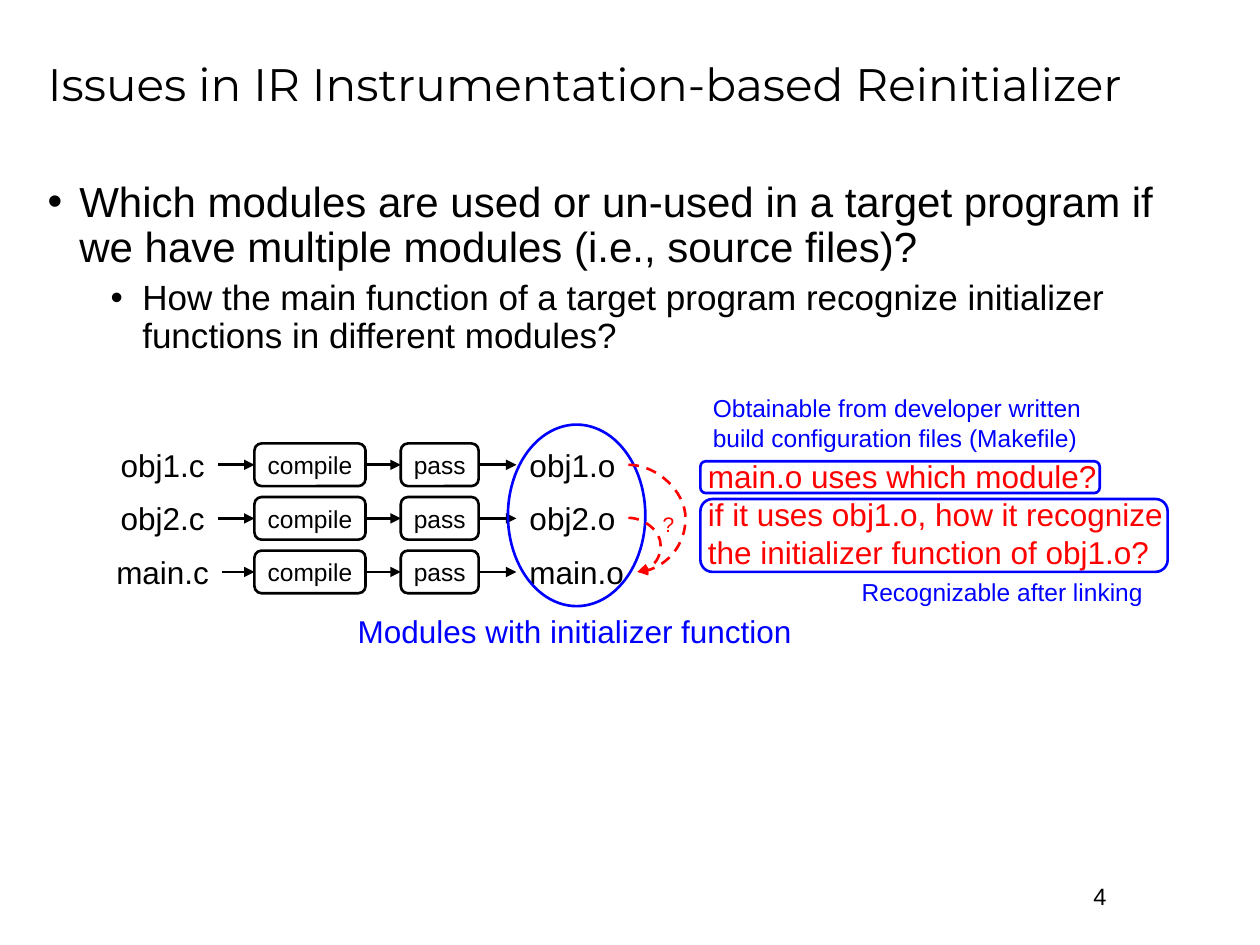
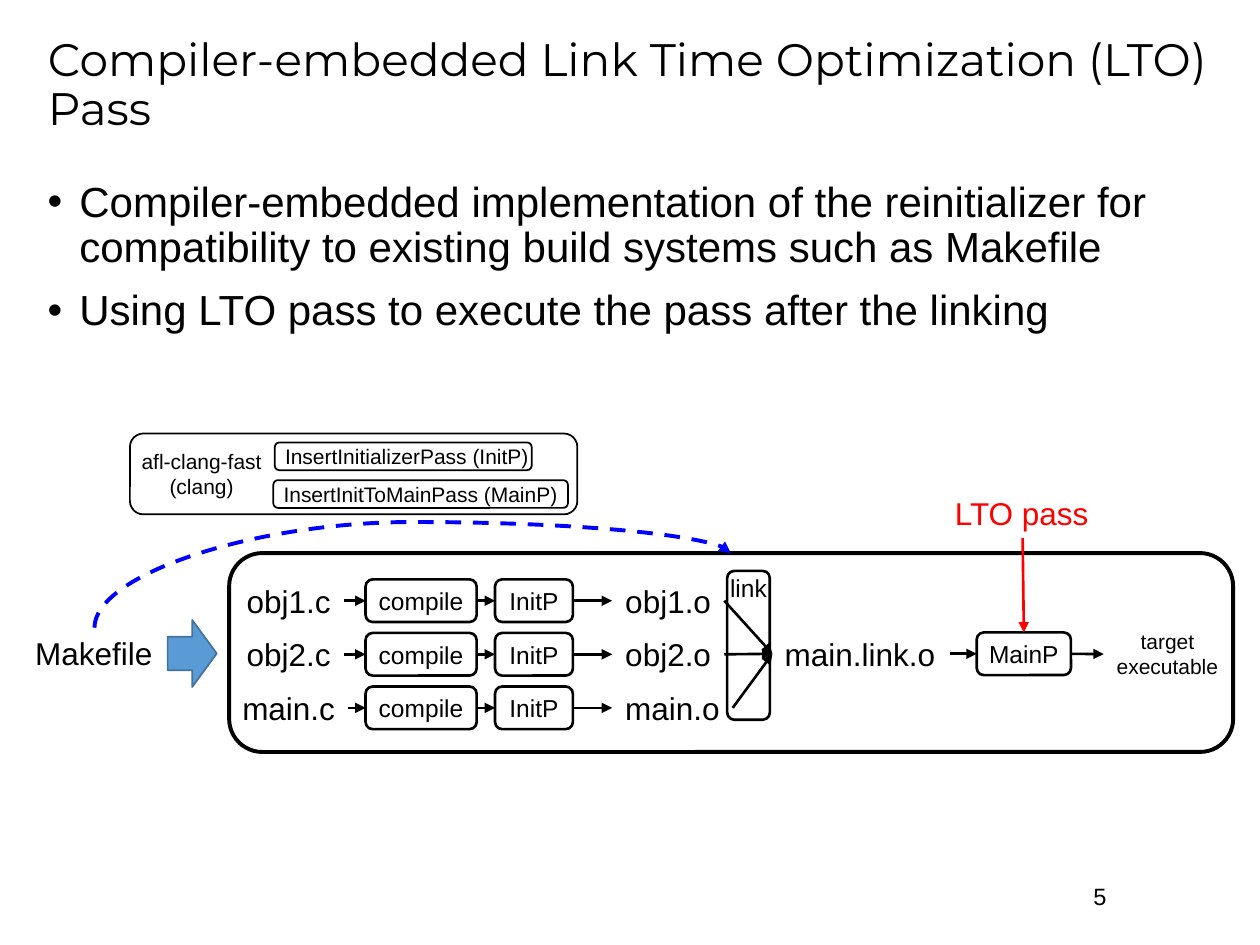
from pptx import Presentation
from pptx.dml.color import RGBColor
from pptx.enum.dml import MSO_LINE
from pptx.enum.shapes import MSO_CONNECTOR, MSO_SHAPE
from pptx.enum.text import MSO_ANCHOR, MSO_AUTO_SIZE, PP_ALIGN
from pptx.oxml.ns import qn
from pptx.util import Cm, Pt
from lxml.etree import SubElement

BLACK = RGBColor(0x00, 0x00, 0x00)
BLUE = RGBColor(0x00, 0x00, 0xFF)
RED = RGBColor(0xFF, 0x00, 0x00)
ARROW_FILL = RGBColor(0x5B, 0x9B, 0xD5)
ARROW_LINE = RGBColor(0x43, 0x73, 0x9E)

BODY_FONT, TITLE_FONT = "Arial", "Montserrat"
TOP, LEFT, BOTTOM, RIGHT = range(4)

# Pipeline grid, in cm
ROW_PITCH = 1.08
BOX_H = 0.86
LABEL_H = 1.02
LABEL_RISE = 0.08
MODULES = [("obj1", 2.24), ("obj2", 2.24), ("main", 2.41)]

# Bullet levels: size, left margin in cm, space before
LEVELS = [(24, 0.64, 10), (20, 1.91, 5)]


def set_format(target, **values):
    for name, value in values.items():
        setattr(target, name, value)


class Deck:
    def __init__(self, first_number):
        self.prs = Presentation()
        set_format(self.prs, slide_width=Cm(25.4), slide_height=Cm(19.05))
        self.number = first_number
        self.s = None

    def slide(self, title):
        self.s = self.prs.slides.add_slide(self.prs.slide_layouts[5])
        sp = self.s.shapes.title
        set_format(sp, left=Cm(0.71), top=Cm(0.43), width=Cm(23.98), height=Cm(2.62))
        tf = sp.text_frame
        set_format(tf, vertical_anchor=MSO_ANCHOR.MIDDLE, word_wrap=True,
                   auto_size=MSO_AUTO_SIZE.NONE)
        self.add_lines(tf, title, 26, font=TITLE_FONT)
        tf.paragraphs[0].line_spacing = 0.9
        self.text(str(self.number), 21.79, 17.65, 1.09, 0.84, 13.5)
        self.number += 1

    def add_lines(self, tf, text, size, color=BLACK, align=PP_ALIGN.LEFT, font=BODY_FONT):
        for i, line in enumerate(text.split("\n")):
            p = tf.add_paragraph() if i else tf.paragraphs[0]
            p.alignment = align
            r = p.add_run()
            r.text = line
            set_format(r.font, name=font, size=Pt(size))
            r.font.color.rgb = color

    def text(self, text, x, y, w, h, size=18, color=BLACK, align=PP_ALIGN.LEFT, wrap=False):
        sp = self.s.shapes.add_textbox(Cm(x), Cm(y), Cm(w), Cm(h))
        tf = sp.text_frame
        set_format(tf, word_wrap=wrap, auto_size=MSO_AUTO_SIZE.SHAPE_TO_FIT_TEXT)
        self.add_lines(tf, text, size, color, align)
        return sp

    def bullets(self, items):
        sp = self.s.shapes.add_textbox(Cm(0.71), Cm(3.53), Cm(23.98), Cm(13.64))
        tf = sp.text_frame
        tf.word_wrap = True
        for i, (level, text) in enumerate(items):
            size, margin, before = LEVELS[level]
            p = tf.add_paragraph() if i else tf.paragraphs[0]
            set_format(p, level=level, line_spacing=0.9, space_before=Pt(before))
            r = p.add_run()
            r.text = text
            set_format(r.font, name=BODY_FONT, size=Pt(size))
            r.font.color.rgb = BLACK
            pPr = p._p.get_or_add_pPr()
            pPr.set("marL", str(Cm(margin)))
            pPr.set("indent", str(-Cm(0.64)))
            SubElement(pPr, qn("a:buFont"), typeface=BODY_FONT)
            SubElement(pPr, qn("a:buChar"), char="•")

    def shape(self, x, y, w, h, kind=MSO_SHAPE.ROUNDED_RECTANGLE, line=BLACK, width=1.5,
              fill=None, text=None, size=14, align=PP_ALIGN.CENTER,
              anchor=MSO_ANCHOR.MIDDLE, inset=0):
        sp = self.s.shapes.add_shape(kind, Cm(x), Cm(y), Cm(w), Cm(h))
        sp.shadow.inherit = False
        if fill is None:
            sp.fill.background()
        else:
            sp.fill.solid()
            sp.fill.fore_color.rgb = fill
        sp.line.color.rgb = line
        sp.line.width = Pt(width)
        if text:
            tf = sp.text_frame
            set_format(tf, word_wrap=False, vertical_anchor=anchor, margin_left=Cm(inset),
                       margin_right=0, margin_top=0, margin_bottom=0)
            self.add_lines(tf, text, size, align=align)
        return sp

    def finish_line(self, cxn, color, width):
        cxn.line.color.rgb = color
        cxn.line.width = Pt(width)
        SubElement(cxn.line._get_or_add_ln(), qn("a:tailEnd"), type="triangle")
        SubElement(cxn._element.spPr, qn("a:effectLst"))

    def arrow(self, start, end, color=BLACK, sides=(RIGHT, LEFT)):
        cxn = self.s.shapes.add_connector(MSO_CONNECTOR.STRAIGHT, 0, 0, 0, 0)
        cxn.begin_connect(start, sides[0])
        cxn.end_connect(end, sides[1])
        self.finish_line(cxn, color, 1.5)

    def curve(self, x1, y1, x2, y2, bulge, color, width=1.5, turn=0):
        cxn = self.s.shapes.add_connector(MSO_CONNECTOR.CURVE, Cm(x1), Cm(y1), Cm(x2), Cm(y2))
        spPr = cxn._element.spPr
        if turn:
            spPr.find(qn("a:xfrm")).set("rot", str(turn * 60000))
        geom = spPr.find(qn("a:prstGeom"))
        guides = geom.find(qn("a:avLst"))
        if guides is None:
            guides = SubElement(geom, qn("a:avLst"))
        SubElement(guides, qn("a:gd"), name="adj1", fmla=f"val {round(bulge * 100000)}")
        cxn.line.dash_style = MSO_LINE.DASH
        self.finish_line(cxn, color, width)

    def pipeline(self, top, source_center, compile_x, pass_x, object_x, pass_name):
        """Draw one row per module and return the object file labels."""
        objects = []
        for i, (module, w) in enumerate(MODULES):
            y = top + i * ROW_PITCH
            label_y = y - LABEL_RISE
            steps = [
                self.text(f"{module}.c", source_center - w / 2, label_y, w, LABEL_H,
                          align=PP_ALIGN.CENTER),
                self.shape(compile_x, y, 2.24, BOX_H, text="compile"),
                self.shape(pass_x, y, 1.57, BOX_H, text=pass_name),
                self.text(f"{module}.o", object_x, label_y, w + 0.02, LABEL_H,
                          align=PP_ALIGN.CENTER),
            ]
            for start, end in zip(steps, steps[1:]):
                self.arrow(start, end)
            objects.append(steps[-1])
        return objects


def issues_slide(deck):
    deck.slide("Issues in IR Instrumentation-based Reinitializer")
    deck.bullets([
        (0, "Which modules are used or un-used in a target program if we have multiple "
            "modules (i.e., source files)?"),
        (1, "How the main function of a target program recognize initializer functions "
            "in different modules?"),
    ])
    deck.pipeline(8.94, 3.28, 5.13, 8.08, 10.41, "pass")

    # Modules with initializers and their unknown links to main.o
    deck.text("Modules with initializer function", 6.96, 12.22, 9.35, LABEL_H, color=BLUE)
    deck.shape(10.24, 8.56, 2.77, 3.66, MSO_SHAPE.OVAL, BLUE)
    for y, bulge in [(10.44, 3.6), (9.37, 6.39)]:
        deck.curve(12.67, y, 12.85, 11.53, bulge, RED)
    deck.text("?", 13.11, 10.19, 0.74, 0.76, 12, RED)

    # Questions and where the answers come from
    deck.text("main.o uses which module?\nif it uses obj1.o, how it recognize "
              "the initializer function of obj1.o?", 14.02, 9.09, 9.75, 2.57,
              color=RED, wrap=True)
    deck.shape(14.12, 9.3, 8.05, 0.64, line=BLUE)
    deck.shape(14.12, 10.06, 9.42, 1.47, line=BLUE)
    deck.text("Obtainable from developer written build configuration files (Makefile)",
              14.12, 7.8, 8.05, 1.45, 14, BLUE, wrap=True)
    deck.text("Recognizable after linking", 17.12, 11.51, 6.25, BOX_H, 14, BLUE, wrap=True)


def lto_slide(deck):
    deck.slide("Compiler-embedded Link Time Optimization (LTO) Pass")
    deck.bullets([
        (0, "Compiler-embedded implementation of the reinitializer for compatibility to "
            "existing build systems such as Makefile"),
        (0, "Using LTO pass to execute the pass after the linking"),
    ])

    # Compiler with its two passes
    deck.shape(2.62, 8.74, 9.02, 1.63, width=1)
    deck.text("afl-clang-fast\n(clang)", 2.59, 8.92, 2.95, 1.27, 12, align=PP_ALIGN.CENTER)
    for x, y, w, name in [(5.54, 8.92, 5.18, "InsertInitializerPass (InitP)"),
                          (5.51, 9.68, 5.94, "InsertInitToMainPass (MainP)")]:
        deck.shape(x, y, w, 0.56, width=1, text=name, size=12,
                   align=PP_ALIGN.LEFT, inset=0.18)

    # Build driven by the Makefile
    deck.text("Makefile", 0.46, 12.65, 2.9, LABEL_H)
    deck.shape(3.38, 12.5, 0.99, 1.35, MSO_SHAPE.RIGHT_ARROW, ARROW_LINE, 1, ARROW_FILL)
    deck.shape(4.62, 11.15, 20.24, 4.01, width=2.25)
    deck.curve(9.07, 18.32, 7.57, 5.49, 1.42, BLUE, 2.25, turn=90)
    objects = deck.pipeline(11.68, 5.82, 7.37, 9.98, 12.34, "InitP")

    # Linking, then the link time pass
    linked = deck.text("main.link.o", 15.57, 12.67, 3.58, LABEL_H)
    for obj in objects:
        deck.arrow(obj, linked)
    deck.shape(14.66, 11.51, 0.86, 3, text="link", anchor=MSO_ANCHOR.TOP)
    main_pass = deck.shape(19.69, 12.75, 1.9, BOX_H, text="MainP")
    target = deck.text("target\nexecutable", 22.25, 12.55, 2.57, 1.27, 12,
                       align=PP_ALIGN.CENTER)
    deck.arrow(linked, main_pass)
    deck.arrow(main_pass, target)
    lto = deck.text("LTO pass", 19, 9.83, 3.23, LABEL_H, color=RED)
    deck.arrow(lto, main_pass, RED, (BOTTOM, TOP))


def main():
    deck = Deck(first_number=4)
    issues_slide(deck)
    lto_slide(deck)
    deck.prs.save("out.pptx")


if __name__ == "__main__":
    main()
